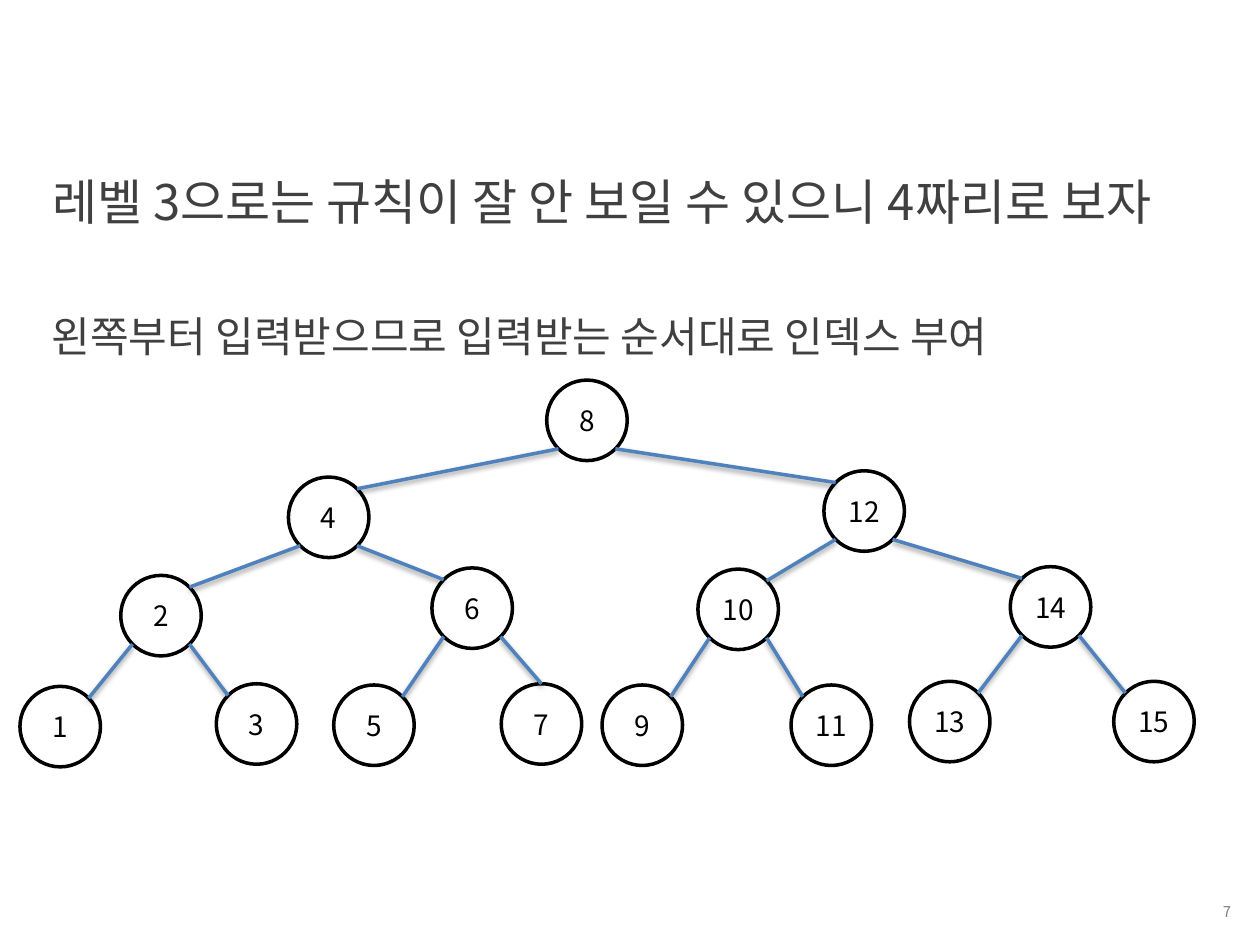
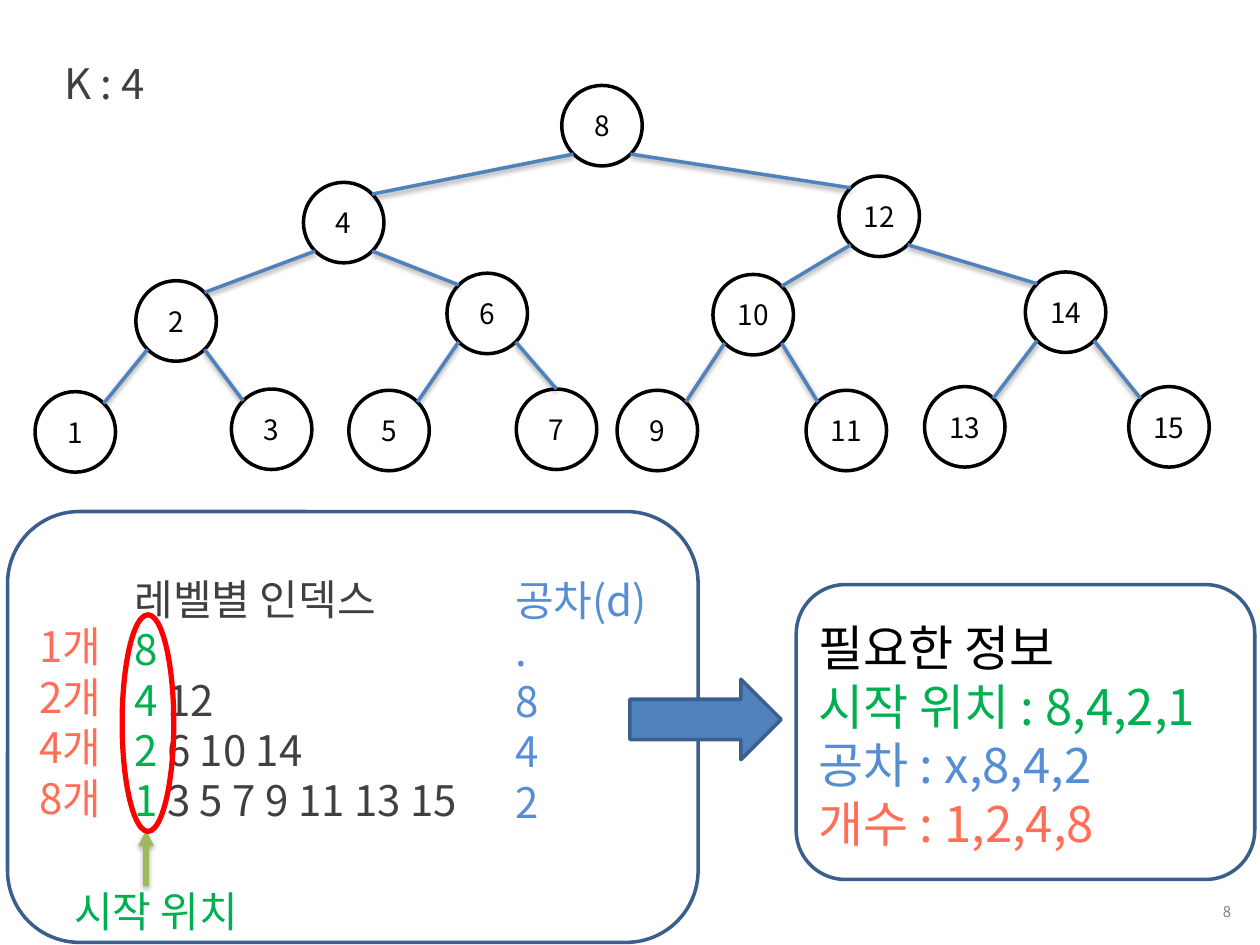
from math import sqrt

from lxml import etree
from pptx import Presentation
from pptx.dml.color import RGBColor
from pptx.enum.shapes import MSO_CONNECTOR, MSO_SHAPE
from pptx.enum.text import MSO_ANCHOR, MSO_AUTO_SIZE, PP_ALIGN
from pptx.oxml.ns import qn
from pptx.util import Pt

FONT = "Noto Sans CJK KR"
BLACK = RGBColor(0x00, 0x00, 0x00)
DARK = RGBColor(0x40, 0x40, 0x40)
GRAY = RGBColor(0x80, 0x80, 0x80)
BLUE = RGBColor(0x4F, 0x81, 0xBD)
NAVY = RGBColor(0x3A, 0x5F, 0x8C)
SKY = RGBColor(0x55, 0x8E, 0xD5)
GREEN = RGBColor(0x00, 0xB0, 0x50)
OLIVE = RGBColor(0x9B, 0xBB, 0x59)
CORAL = RGBColor(0xFF, 0x6E, 0x57)
RED = RGBColor(0xFF, 0x00, 0x00)

LINE_PITCH = 1.2
NODE_SIZE = 46
# Left and top of nodes 1 to 15, from the tree's corner
NODE_PLACES = [
    (0, 175), (57.6, 111.6), (112.2, 173.5), (153.4, 55.4), (179.3, 174.2),
    (235.4, 107.3), (275, 173.5), (301, 0), (332.6, 174.2), (387.4, 108),
    (440.6, 174.2), (459.4, 51.8), (508.3, 172.1), (565.9, 106.6), (625, 172.1),
]


def style_span(span, size, color):
    span.font.size = Pt(size)
    span.font.name = FONT
    span.font.color.rgb = color
    east_asian = etree.SubElement(span.font._element, qn("a:ea"))
    east_asian.set("typeface", FONT)


def fill_frame(frame, lines, size, align=PP_ALIGN.LEFT, anchor=MSO_ANCHOR.TOP):
    """Write lines; each line is a list of (text, color) spans."""
    frame.word_wrap = True
    frame.auto_size = MSO_AUTO_SIZE.NONE
    frame.vertical_anchor = anchor
    for number, line in enumerate(lines):
        para = frame.add_paragraph() if number else frame.paragraphs[0]
        para.alignment = align
        para.line_spacing = Pt(size * LINE_PITCH)
        for text, color in line:
            span = para.add_run()
            span.text = text
            style_span(span, size, color)


def add_text(page, box, lines, size=24, **layout):
    holder = page.shapes.add_textbox(*map(Pt, box))
    fill_frame(holder.text_frame, lines, size, **layout)


def add_outline(page, kind, box, color, width=2, fill=None):
    shape = page.shapes.add_shape(kind, *map(Pt, box))
    shape.shadow.inherit = False
    if fill is None:
        shape.fill.background()
    else:
        shape.fill.solid()
        shape.fill.fore_color.rgb = fill
    shape.line.color.rgb = color
    shape.line.width = Pt(width)
    return shape


def add_line(page, start, end, color, width=2, arrow=False):
    line = page.shapes.add_connector(MSO_CONNECTOR.STRAIGHT, *map(Pt, start + end))
    line.line.color.rgb = color
    line.line.width = Pt(width)
    if arrow:
        etree.SubElement(line.line._get_or_add_ln(), qn("a:tailEnd"), type="triangle")
    # Soft shadow just below the line
    effects = etree.SubElement(line._element.spPr, qn("a:effectLst"))
    shadow = etree.SubElement(effects, qn("a:outerShdw"), blurRad=str(Pt(3.1)),
                              dist=str(Pt(1.6)), dir="5400000", rotWithShape="0")
    tint = etree.SubElement(shadow, qn("a:srgbClr"), val=str(BLACK))
    etree.SubElement(tint, qn("a:alpha"), val="38000")


def add_page(deck, number, title, title_box, title_size):
    page = deck.slides.add_slide(deck.slide_layouts[5])
    holder = page.shapes.title
    holder.left, holder.top, holder.width, holder.height = map(Pt, title_box)
    fill_frame(holder.text_frame, [[(title, DARK)]], title_size)
    add_text(page, (558.7, 511.2, 152, 19.4), [[(str(number), GRAY)]], 8.5,
             align=PP_ALIGN.RIGHT, anchor=MSO_ANCHOR.MIDDLE)
    return page


def add_tree(page, left, top):
    """Draw the four-level tree, numbered from left to right."""
    radius = NODE_SIZE / 2
    reach = radius / sqrt(2)
    centers = {number: (left + x + radius, top + y + radius)
               for number, (x, y) in enumerate(NODE_PLACES, 1)}
    for number, (x, y) in centers.items():
        node = add_outline(page, MSO_SHAPE.OVAL,
                           (x - radius, y - radius, NODE_SIZE, NODE_SIZE), BLACK)
        frame = node.text_frame
        frame.margin_left = frame.margin_right = 0
        fill_frame(frame, [[(str(number), BLACK)]], 16, PP_ALIGN.CENTER, MSO_ANCHOR.MIDDLE)
    for parent, (x, y) in centers.items():
        step = (parent & -parent) // 2  # half the lowest set bit leads to the children
        if not step:
            continue
        for side in (-1, 1):
            child = parent + side * step
            child_x, child_y = centers[child]
            end = (child_x - side * reach, child_y - reach)
            if child == 7:  # this edge meets the top of its circle
                end = (child_x, child_y - radius)
            add_line(page, (x + side * reach, y + reach), end, BLUE)


def add_level_panel(page, left, top):
    """Indexes per level with their counts, start positions and differences."""
    add_outline(page, MSO_SHAPE.ROUNDED_RECTANGLE, (left, top, 394.6, 246.2), NAVY)
    levels = [("8", ""), ("4", " 12"), ("2", " 6 10 14"), ("1", " 3 5 7 9 11 13 15")]
    rows = [[("레벨별 인덱스", DARK)]]
    for first, rest in levels:
        rows.append([(first, GREEN)] + ([(rest, DARK)] if rest else []))
    add_text(page, (left + 65.5, top + 31.7, 233.3, 152.6), rows)
    add_text(page, (left + 7.2, top + 59, 57.6, 123.8),
             [[(f"{2 ** level}개", CORAL)] for level in range(4)], align=PP_ALIGN.CENTER)
    add_text(page, (left + 283, top + 32.4, 108, 152.6),
             [[(text, SKY)] for text in ("공차(d)", ".", "8", "4", "2")])
    # Start positions
    add_text(page, (left + 31, top + 210.2, 233.3, 36), [[("시작 위치", GREEN)]])
    add_line(page, (left + 79.2, top + 213.8), (left + 79.2, top + 182.2), OLIVE, 3, True)
    add_outline(page, MSO_SHAPE.OVAL, (left + 65.5, top + 59, 29.5, 123.8), RED, 3)


def add_summary_panel(page, left, top):
    add_outline(page, MSO_SHAPE.ROUNDED_RECTANGLE, (left, top, 262, 168.5), NAVY)
    facts = [("필요한 정보", BLACK), ("시작 위치 : 8,4,2,1", GREEN),
             ("공차 : x,8,4,2", SKY), ("개수 : 1,2,4,8", CORAL)]
    add_text(page, (left + 5.8, top + 15.1, 253.4, 143.3), [[fact] for fact in facts], 28)


def build_index_page(deck):
    page = add_page(deck, 7, "레벨 3으로는 규칙이 잘 안 보일 수 있으니 4짜리로 보자",
                    (23, 94.3, 673.9, 78), 28)
    add_text(page, (22.3, 174.2, 620.6, 36),
             [[("왼쪽부터 입력받으므로 입력받는 순서대로 인덱스 부여", DARK)]])
    add_tree(page, 11.4, 217.2)


def build_rule_page(deck):
    page = add_page(deck, 8, "K : 4", (29.5, 29.5, 87.1, 36), 24)
    add_tree(page, 20, 48.8)
    add_level_panel(page, 4.3, 292.3)
    add_outline(page, MSO_SHAPE.RIGHT_ARROW, (360, 388.1, 86.4, 46), NAVY, fill=BLUE)
    add_summary_panel(page, 455, 334.1)


def main():
    deck = Presentation()
    deck.slide_width, deck.slide_height = Pt(720), Pt(540)
    build_index_page(deck)
    build_rule_page(deck)
    deck.save("out.pptx")


if __name__ == "__main__":
    main()
